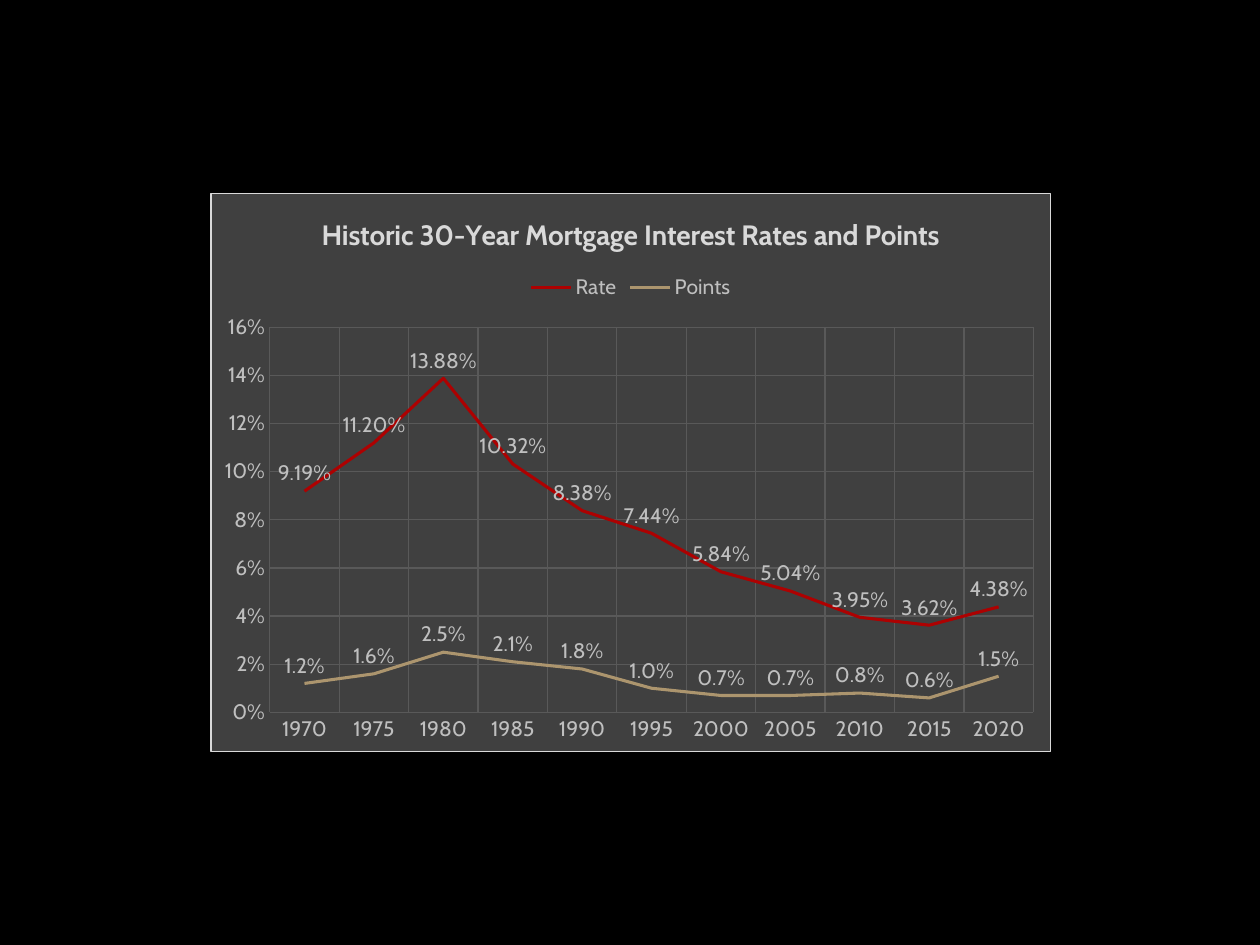
from dataclasses import dataclass

from pptx import Presentation
from pptx.chart.data import CategoryChartData as ChartData
from pptx.dml.color import RGBColor as RGB
from pptx.enum.chart import XL_CHART_TYPE as ChartType
from pptx.enum.chart import XL_LABEL_POSITION as LabelPos
from pptx.enum.chart import XL_LEGEND_POSITION as LegendPos
from pptx.enum.chart import XL_TICK_MARK as Tick
from pptx.oxml import parse_xml
from pptx.oxml.ns import nsdecls
from pptx.util import Inches, Pt


@dataclass(frozen=True)
class Theme:
    font: str = "Cabin"
    background: str = "000000"
    panel: str = "404040"
    border: str = "D9D9D9"
    title: str = "D9D9D9"
    text: str = "BFBFBF"
    grid: str = "595959"
    rate: str = "AD0101"
    points: str = "AC956E"
    title_size: float = 16
    text_size: float = 12
    thin: float = 0.75
    thick: float = 1.75


class SlideBuilder:
    def __init__(self, prs, theme):
        self.theme = theme
        self.s = prs.slides.add_slide(prs.slide_layouts[6])
        fill = self.s.background.fill
        fill.solid()
        fill.fore_color.rgb = RGB.from_string(theme.background)

    def font(self, f, size, color, bold=False):
        f.name, f.size, f.bold = self.theme.font, Pt(size), bold
        f.color.rgb = RGB.from_string(color)

    def line(self, ln, color, width):
        ln.color.rgb = RGB.from_string(color)
        ln.width = Pt(width)

    def line_chart(self, box, categories, series):
        data = ChartData()
        data.categories = categories
        for name, values, number_format, _ in series:
            data.add_series(name, [v / 100 for v in values], number_format)
        chart = self.s.shapes.add_chart(
            ChartType.LINE, *map(Inches, box), data).chart
        self.font(chart.font, self.theme.text_size, self.theme.text)
        plot = chart.plots[0]
        plot.vary_by_categories = False
        for ser, (_, _, number_format, color) in zip(plot.series, series):
            ser.smooth = False
            self.line(ser.format.line, color, self.theme.thick)
            labels = ser.data_labels
            labels.show_value = True
            labels.position = LabelPos.ABOVE
            labels.number_format = number_format
            labels.number_format_is_linked = False
            self.font(labels.font, self.theme.text_size, self.theme.text)
        return chart

    def title(self, chart, text):
        chart.has_title = True
        chart.chart_title.include_in_layout = False
        p = chart.chart_title.text_frame.paragraphs[0]
        p.text = text
        self.font(p.runs[0].font, self.theme.title_size, self.theme.title, True)

    def legend(self, chart):
        chart.has_legend = True
        chart.legend.position = LegendPos.TOP
        chart.legend.include_in_layout = False
        self.font(chart.legend.font, self.theme.text_size, self.theme.text)

    def axes(self, chart, maximum, step):
        for axis in (chart.category_axis, chart.value_axis):
            axis.major_tick_mark = axis.minor_tick_mark = Tick.NONE
            axis.format.line.fill.background()
            axis.has_major_gridlines = True
            self.line(axis.major_gridlines.format.line,
                      self.theme.grid, self.theme.thin)
            self.font(axis.tick_labels.font,
                      self.theme.text_size, self.theme.text)
        axis = chart.value_axis
        axis.minimum_scale, axis.maximum_scale = 0, maximum
        axis.major_unit = step
        axis.tick_labels.number_format = "0%"
        axis.tick_labels.number_format_is_linked = False

    def panel(self, chart):
        t = self.theme
        chart._chartSpace.chart.addnext(parse_xml(
            f'<c:spPr {nsdecls("c", "a")}>'
            f'<a:solidFill><a:srgbClr val="{t.panel}"/></a:solidFill>'
            f'<a:ln w="{Pt(t.thin)}"><a:solidFill>'
            f'<a:srgbClr val="{t.border}"/></a:solidFill></a:ln></c:spPr>'))

    def plot_layout(self, chart, x, y, w, h):
        area = chart._chartSpace.chart.plotArea
        for old in area.xpath("c:layout"):
            area.remove(old)
        sizes = "".join(f'<c:{tag} val="{value}"/>'
                        for tag, value in zip("xywh", (x, y, w, h)))
        area.insert(0, parse_xml(
            f'<c:layout {nsdecls("c")}><c:manualLayout>'
            '<c:layoutTarget val="inner"/>'
            '<c:xMode val="edge"/><c:yMode val="edge"/>'
            f'{sizes}</c:manualLayout></c:layout>'))


def main():
    prs = Presentation()
    prs.slide_width, prs.slide_height = Inches(10), Inches(7.5)
    theme = Theme()
    slide = SlideBuilder(prs, theme)
    years = [str(year) for year in range(1970, 2021, 5)]
    rates = [9.19, 11.20, 13.88, 10.32, 8.38, 7.44,
             5.84, 5.04, 3.95, 3.62, 4.38]
    points = [1.2, 1.6, 2.5, 2.1, 1.8, 1.0, 0.7, 0.7, 0.8, 0.6, 1.5]
    chart = slide.line_chart(
        (1.67, 1.53, 6.67, 4.44), years,
        [("Rate", rates, "0.00%", theme.rate),
         ("Points", points, "0.0%", theme.points)])
    slide.title(chart, "Historic 30-Year Mortgage Interest Rates and Points")
    slide.legend(chart)
    slide.axes(chart, 0.16, 0.02)
    slide.panel(chart)
    slide.plot_layout(chart, 0.07, 0.24, 0.91, 0.69)
    prs.save("out.pptx")


if __name__ == "__main__":
    main()
